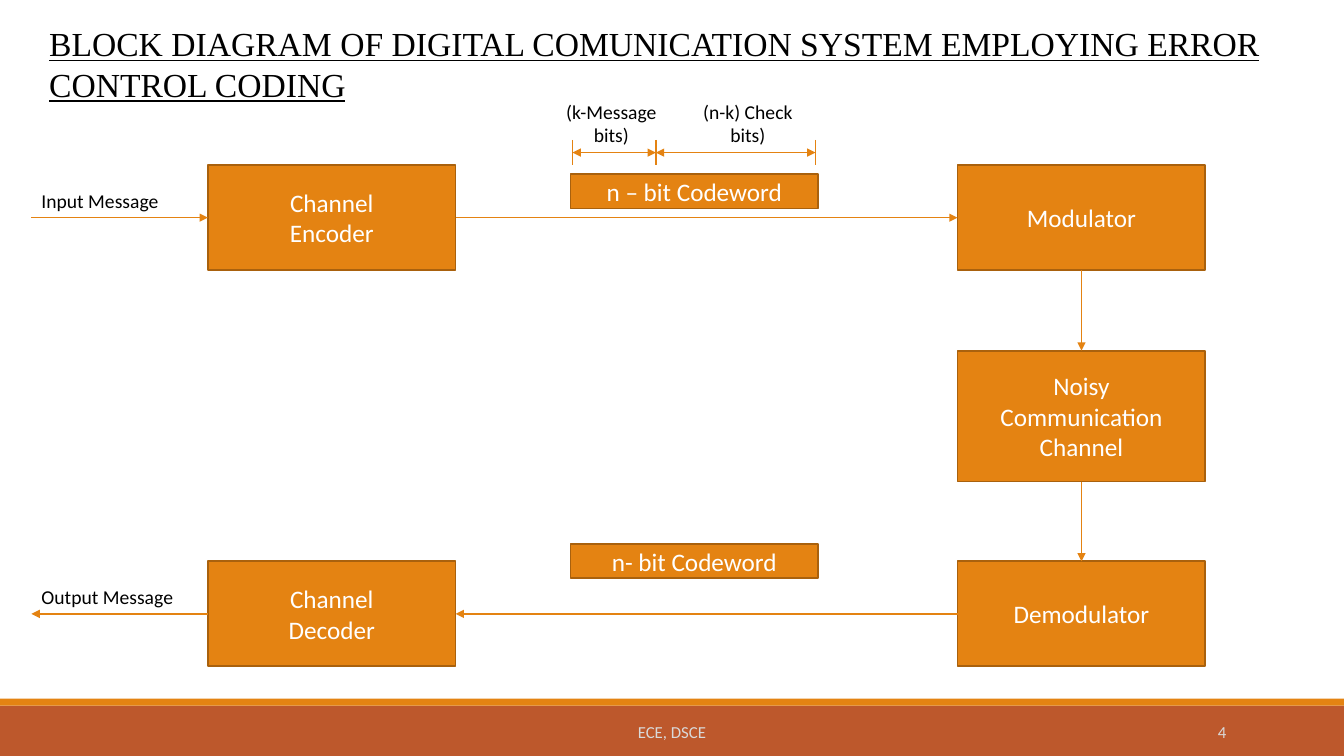
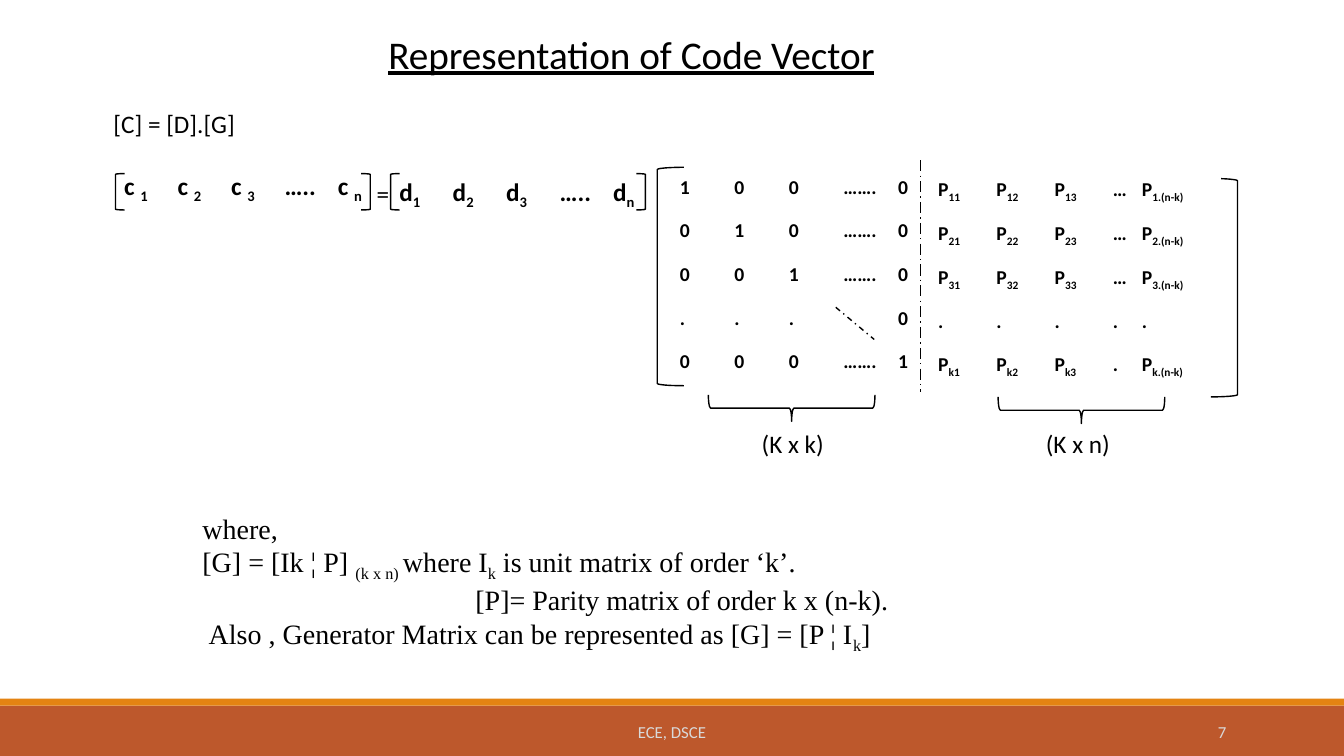
import pptx
import pptx.dml.color
import pptx.enum.dml
import pptx.enum.shapes
import pptx.enum.text
import pptx.oxml.ns
import pptx.util
from lxml import etree

Pt = pptx.util.Pt
RGBColor = pptx.dml.color.RGBColor
SHAPE = pptx.enum.shapes.MSO_SHAPE
DASH = pptx.enum.dml.MSO_LINE
ALIGN = pptx.enum.text.PP_ALIGN
ANCHOR = pptx.enum.text.MSO_ANCHOR
qn = pptx.oxml.ns.qn

ORANGE = RGBColor(0xE4, 0x83, 0x12)
DARK_ORANGE = RGBColor(0xA9, 0x61, 0x0D)
RUST = RGBColor(0xBD, 0x58, 0x2C)
WHITE = RGBColor(0xFF, 0xFF, 0xFF)
BLACK = RGBColor(0, 0, 0)
PALE = RGBColor(0xD9, 0xD9, 0xD9)
SANS, SERIF = "Calibri", "Times New Roman"
NO_TABLE_STYLE = "{2D5ABB26-0587-4C30-8999-92F81FD0307C}"
SLIDE_WIDTH, SLIDE_HEIGHT = 960, 540

# Content: text between tildes is subscript
FOOTER = "ECE, DSCE"
DIAGRAM_TITLE = "BLOCK DIAGRAM OF DIGITAL COMUNICATION SYSTEM EMPLOYING ERROR CONTROL CODING"
VECTOR_TITLE = "Representation of Code Vector"

# Block diagram grid
BLOCK_WIDTH, BLOCK_HEIGHT = 177, 75
LEFT_BLOCK, RIGHT_BLOCK, CODEWORD_LEFT = 148.5, 684, 407.5
TOP_ROW, BOTTOM_ROW = 118, 401
CHANNEL_TOP, CHANNEL_HEIGHT = 250.5, 93.5
OUTER_LEFT = 22.5
BLOCKS = [
    (["Channel", "Encoder"], LEFT_BLOCK, TOP_ROW, BLOCK_HEIGHT),
    (["Modulator"], RIGHT_BLOCK, TOP_ROW, BLOCK_HEIGHT),
    (["Noisy", "Communication", "Channel"], RIGHT_BLOCK, CHANNEL_TOP, CHANNEL_HEIGHT),
    (["Demodulator"], RIGHT_BLOCK, BOTTOM_ROW, BLOCK_HEIGHT),
    (["Channel", "Decoder"], LEFT_BLOCK, BOTTOM_ROW, BLOCK_HEIGHT),
    (["n – bit Codeword"], CODEWORD_LEFT, 124.5, 24.5),
    (["n- bit Codeword"], CODEWORD_LEFT, 388.5, 24.5),
]
DIAGRAM_LABELS = [
    (["(k-Message", "bits)"], (395, 67.5, 83.5, 41), ALIGN.CENTER),
    (["(n-k) Check", "bits)"], (492.5, 67.5, 83.5, 41), ALIGN.CENTER),
    (["Input Message"], (22.5, 131.5, 119, 24.5), ALIGN.LEFT),
    (["Output Message"], (22.5, 414, 119, 24.5), ALIGN.LEFT),
]
CODEWORD_MARKS = [409, 468.5, 582.5]

# Matrices
CODE_VECTOR = [["c ~1~", "c ~2~", "c ~3~", "…..", "c ~n~"]]
DATA_VECTOR = [["d~1~", "d~2~", "d~3~", "…..", "d~n~"]]
IDENTITY = [
    ["1", "0", "0", "…….", "0"],
    ["0", "1", "0", "…….", "0"],
    ["0", "0", "1", "…….", "0"],
    [".", ".", ".", "", "0"],
    ["0", "0", "0", "…….", "1"],
]
PARITY = [[f"P~{row}1~", f"P~{row}2~", f"P~{row}3~", dots, f"P~{row}.(n-k)~"]
          for row, dots in [("1", "…"), ("2", "…"), ("3", "…"), ("k", ".")]]
PARITY.insert(3, ["."] * 5)
VECTOR_COLUMNS = [38.2] * 5
IDENTITY_COLUMNS = [39] * 5
PARITY_COLUMNS = [20.8 * share for share in (2, 2, 2, 1, 3)]
VECTOR_ROW, MATRIX_ROW = 29.2, 31.25
VECTOR_LABELS = [
    ("[C] = [D].[G]", (74, 74, 102, 29)),
    ("=", (262, 124, 24, 29)),
    ("(K x k)", (537, 302.5, 60, 29)),
    ("(K x n)", (740, 302.5, 61, 29)),
]
EXPLANATION = [
    "where,",
    "[G] = [Ik ¦ P] ~(k x n) ~where I~k~ is unit matrix of order ‘k’.",
    "[P]= Parity matrix of order k x (n-k).",
    "Also , Generator Matrix can be represented as [G] = [P ¦ I~k~]",
]
EXPLANATION_INDENTS = [0, 0, 195, 4.5]


def write_text(frame, lines, size=18, font=SANS, color=BLACK, bold=False,
               underline=False, align=ALIGN.LEFT, indents=()):
    for index, line in enumerate(lines):
        para = frame.paragraphs[0] if index == 0 else frame.add_paragraph()
        para.alignment = align
        if indents:
            properties = para._p.get_or_add_pPr()
            properties.set("marL", str(Pt(indents[index])))
            properties.set("indent", "0")
        for position, piece in enumerate(line.split("~")):
            if not piece:
                continue
            span = para.add_run()
            span.text = piece
            span.font.name, span.font.size = font, Pt(size)
            span.font.bold, span.font.underline = bold, underline
            span.font.color.rgb = color
            if position % 2:
                span._r.get_or_add_rPr().set("baseline", "-25000")


def add_label(slide, lines, place, wrap=True, anchor=ANCHOR.TOP, **style):
    box = slide.shapes.add_textbox(*map(Pt, place))
    box.text_frame.word_wrap = wrap
    box.text_frame.vertical_anchor = anchor
    write_text(box.text_frame, lines, **style)


def add_outline(slide, kind, place, fill=None, line=None, width=1, rotation=0):
    shape = slide.shapes.add_shape(kind, *map(Pt, place))
    shape.shadow.inherit = False
    shape.rotation = rotation
    if fill is None:
        shape.fill.background()
    else:
        shape.fill.solid()
        shape.fill.fore_color.rgb = fill
    if line is None:
        shape.line.fill.background()
    else:
        shape.line.color.rgb = line
        shape.line.width = Pt(width)
    return shape


def add_line(slide, start, end, color=ORANGE, arrows=(), dash=None):
    connector = slide.shapes.add_connector(
        pptx.enum.shapes.MSO_CONNECTOR.STRAIGHT, *map(Pt, start + end))
    connector.line.color.rgb = color
    connector.line.width = Pt(1)
    if dash is not None:
        connector.line.dash_style = dash
    for arrow in arrows:
        etree.SubElement(connector.line._get_or_add_ln(), qn(f"a:{arrow}")).set("type", "triangle")
    etree.SubElement(connector._element.spPr, qn("a:effectLst"))


def add_matrix(slide, rows, left, top, columns, row_height, size, fill=None, margins=None):
    frame = slide.shapes.add_table(len(rows), len(columns), Pt(left), Pt(top),
                                   Pt(sum(columns)), Pt(row_height * len(rows)))
    table = frame.table
    table.first_row = table.horz_banding = False
    table._tbl.tblPr.find(qn("a:tableStyleId")).text = NO_TABLE_STYLE
    for column, width in zip(table.columns, columns):
        column.width = Pt(width)
    for row_index, row in enumerate(rows):
        table.rows[row_index].height = Pt(row_height)
        for column_index, text in enumerate(row):
            cell = table.cell(row_index, column_index)
            if fill is None:
                cell.fill.background()
            else:
                cell.fill.solid()
                cell.fill.fore_color.rgb = fill
            if margins:
                cell.margin_left = cell.margin_right = Pt(margins[0])
                cell.margin_top = cell.margin_bottom = Pt(margins[1])
            write_text(cell.text_frame, [text], size=size, bold=True)


def add_slide(deck, number):
    slide = deck.slides.add_slide(deck.slide_layouts[6])
    add_outline(slide, SHAPE.RECTANGLE, (0, 504, SLIDE_WIDTH, 36), RUST)
    add_outline(slide, SHAPE.RECTANGLE, (0, 499, SLIDE_WIDTH, 5), ORANGE)
    footer = {"size": 12, "color": PALE, "anchor": ANCHOR.MIDDLE}
    add_label(slide, [FOOTER], (290, 508.5, 380, 28.5), align=ALIGN.CENTER, **footer)
    add_label(slide, [str(number)], (780, 508.5, 103, 28.5), align=ALIGN.RIGHT, **footer)
    return slide


def build_diagram(deck):
    slide = add_slide(deck, 4)
    add_label(slide, [DIAGRAM_TITLE], (28, 13, 924, 65.5), size=24, font=SERIF, underline=True)

    # Blocks and codewords
    for lines, left, top, height in BLOCKS:
        block = add_outline(slide, SHAPE.RECTANGLE, (left, top, BLOCK_WIDTH, height),
                            ORANGE, DARK_ORANGE, 1.25)
        block.text_frame.vertical_anchor = ANCHOR.MIDDLE
        write_text(block.text_frame, lines, color=WHITE, align=ALIGN.CENTER)

    # Signal flow
    top_axis, bottom_axis = TOP_ROW + BLOCK_HEIGHT / 2, BOTTOM_ROW + BLOCK_HEIGHT / 2
    left_edge, right_axis = LEFT_BLOCK + BLOCK_WIDTH, RIGHT_BLOCK + BLOCK_WIDTH / 2
    flow = [
        ((OUTER_LEFT, top_axis), (LEFT_BLOCK, top_axis)),
        ((left_edge, top_axis), (RIGHT_BLOCK, top_axis)),
        ((right_axis, TOP_ROW + BLOCK_HEIGHT), (right_axis, CHANNEL_TOP)),
        ((right_axis, CHANNEL_TOP + CHANNEL_HEIGHT), (right_axis, BOTTOM_ROW)),
        ((RIGHT_BLOCK, bottom_axis), (left_edge, bottom_axis)),
        ((LEFT_BLOCK, bottom_axis), (OUTER_LEFT, bottom_axis)),
    ]
    for start, end in flow:
        add_line(slide, start, end, arrows=["tailEnd"])

    # Codeword dimensions
    for mark in CODEWORD_MARKS:
        add_line(slide, (mark, 100), (mark, 118))
    for start, end in zip(CODEWORD_MARKS, CODEWORD_MARKS[1:]):
        add_line(slide, (start, 109), (end, 109), arrows=["headEnd", "tailEnd"])
    for lines, place, align in DIAGRAM_LABELS:
        add_label(slide, lines, place, size=14, align=align)


def build_code_vector(deck):
    slide = add_slide(deck, 7)
    add_label(slide, [VECTOR_TITLE], (262, 18, 378, 41), size=28, underline=True,
              align=ALIGN.CENTER)

    # Generator matrix
    matrix = {"row_height": MATRIX_ROW, "size": 14, "fill": WHITE, "margins": (5.6, 2.8)}
    add_matrix(slide, IDENTITY, 480, 122.5, IDENTITY_COLUMNS, **matrix)
    add_outline(slide, SHAPE.LEFT_BRACKET, (469.5, 119.5, 19, 156), line=BLACK)
    add_outline(slide, SHAPE.RIGHT_BRACKET, (865, 127.5, 19, 156), line=BLACK)
    add_matrix(slide, PARITY, 664.5, 124.5, PARITY_COLUMNS, **matrix)
    add_line(slide, (597, 219.5), (624.5, 242.5), BLACK, dash=DASH.DASH_DOT)
    add_line(slide, (657.5, 114.5), (657.5, 280), BLACK, dash=DASH.LONG_DASH_DOT)
    for left, top in [(556, 232), (763, 233.5)]:
        add_outline(slide, SHAPE.LEFT_BRACE, (left, top, 19, 119), line=BLACK, rotation=270)

    # Code and data vectors
    for vector, left, top in [(CODE_VECTOR, 81.5, 119), (DATA_VECTOR, 278, 123)]:
        add_matrix(slide, vector, left, top, VECTOR_COLUMNS, VECTOR_ROW, 18)
        for kind, offset in [(SHAPE.LEFT_BRACKET, 1), (SHAPE.RIGHT_BRACKET, 176.5)]:
            add_outline(slide, kind, (left + offset, 124, 6.5, 26), line=BLACK)

    # Labels and explanation
    for text, place in VECTOR_LABELS:
        add_label(slide, [text], place, wrap=False)
    add_label(slide, EXPLANATION, (137.5, 361.5, 625.5, 128), size=20, font=SERIF,
              indents=EXPLANATION_INDENTS)


def main():
    deck = pptx.Presentation()
    deck.slide_width, deck.slide_height = Pt(SLIDE_WIDTH), Pt(SLIDE_HEIGHT)
    build_diagram(deck)
    build_code_vector(deck)
    deck.save("out.pptx")


if __name__ == "__main__":
    main()
